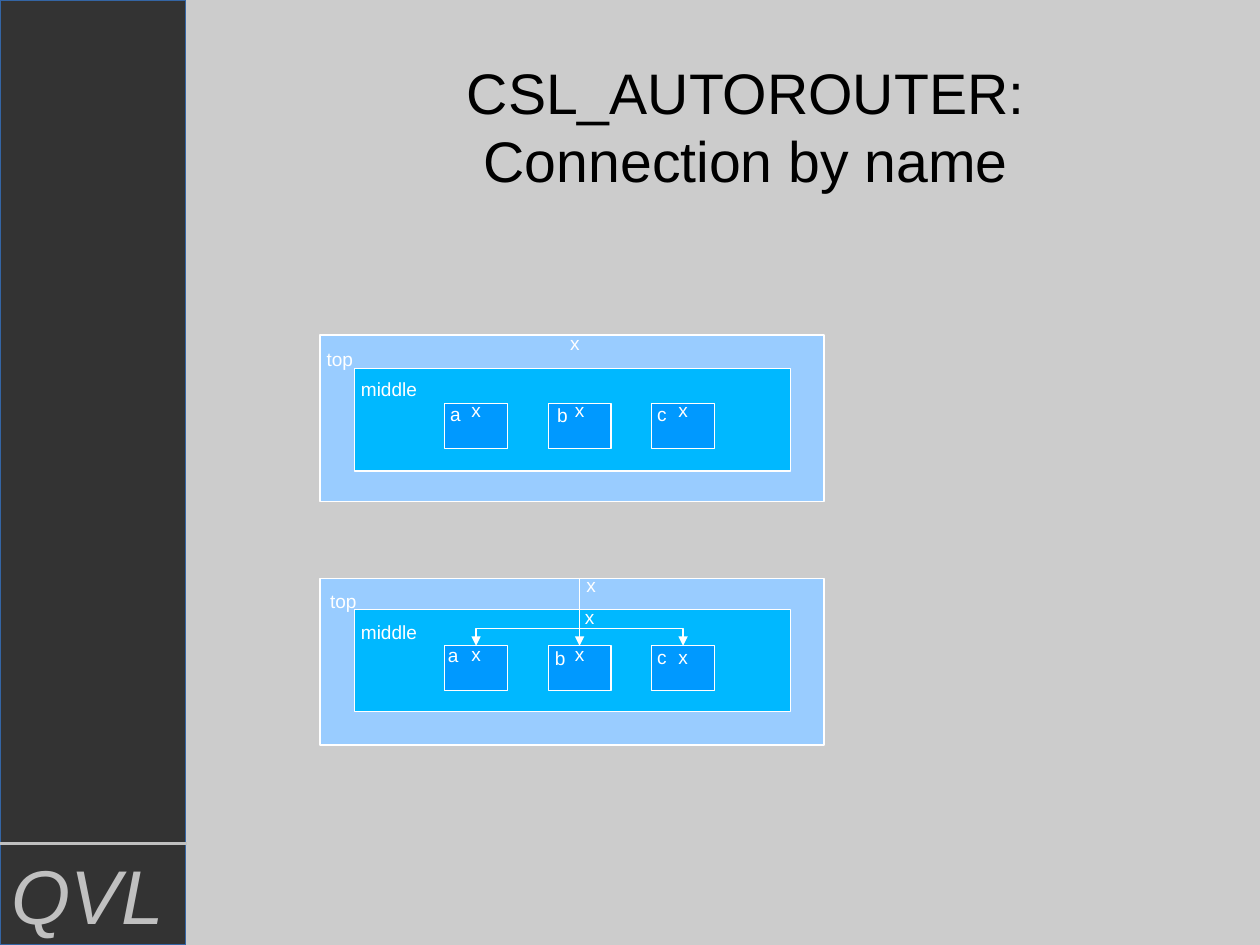
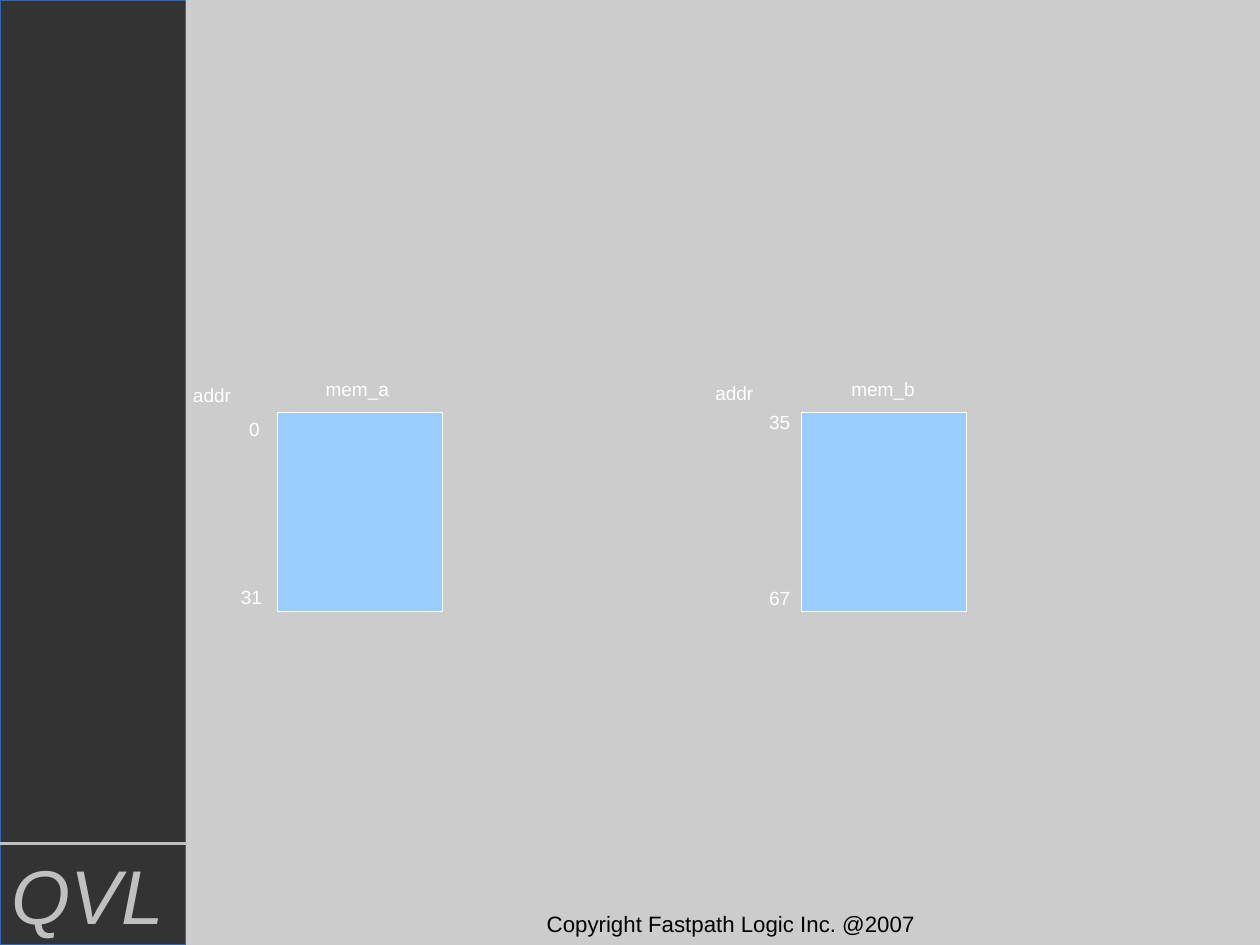
from dataclasses import dataclass

from lxml import etree
from pptx import Presentation
from pptx.dml.color import RGBColor
from pptx.enum.shapes import MSO_CONNECTOR, MSO_SHAPE
from pptx.enum.text import MSO_ANCHOR, MSO_AUTO_SIZE, PP_ALIGN
from pptx.oxml.ns import qn
from pptx.shapes.autoshape import Shape
from pptx.shapes.connector import Connector
from pptx.slide import Slide
from pptx.text.text import TextFrame
from pptx.util import Pt

RECTANGLE = MSO_SHAPE.RECTANGLE
STRAIGHT, ELBOW = MSO_CONNECTOR.STRAIGHT, MSO_CONNECTOR.ELBOW
LEFT, CENTER = PP_ALIGN.LEFT, PP_ALIGN.CENTER
MIDDLE, NO_AUTOFIT = MSO_ANCHOR.MIDDLE, MSO_AUTO_SIZE.NONE
TITLE_ONLY, BLANK = 5, 6
TOP_SIDE = 0


@dataclass(frozen=True)
class Theme:
    font: str = "Arial"
    background: RGBColor = RGBColor(0xCC, 0xCC, 0xCC)
    sidebar: RGBColor = RGBColor(0x33, 0x33, 0x33)
    sidebar_edge: RGBColor = RGBColor(0x34, 0x65, 0xA4)
    silver: RGBColor = RGBColor(0xC0, 0xC0, 0xC0)
    black: RGBColor = RGBColor(0, 0, 0)
    white: RGBColor = RGBColor(0xFF, 0xFF, 0xFF)
    outer: RGBColor = RGBColor(0x99, 0xCC, 0xFF)
    inner: RGBColor = RGBColor(0x00, 0xB8, 0xFF)
    block: RGBColor = RGBColor(0x00, 0x99, 0xFF)
    title_size: float = 36
    initials_size: float = 48
    copyright_size: float = 14
    label_size: float = 12
    hairline: float = 0
    wire: float = 0.71


THEME = Theme()
SLIDE_WIDTH, SLIDE_HEIGHT = 793.7, 595.3
SIDEBAR_WIDTH = 116.8

# Measures of the unit diagrams
OUTER_LEFT, OUTER_WIDTH, OUTER_HEIGHT = 201.6, 317.5, 105.1
INNER_LEFT, INNER_WIDTH, INNER_HEIGHT = 223.2, 275, 64.4
BLOCK_LEFT, BLOCK_PITCH, BLOCK_WIDTH, BLOCK_HEIGHT = 280.1, 65.2, 39.6, 28.1
LETTER_WIDTH, LABEL_HEIGHT = 20.2, 20.9
BRANCH_TOP = 396

# Measures of the memories
MEMORY_TOP, MEMORY_HEIGHT = 260, 125.3


@dataclass(frozen=True)
class Label:
    text: str
    left: float
    top: float
    width: float = LETTER_WIDTH


@dataclass(frozen=True)
class Block:
    """A unit inside the middle level; offsets run from its top left corner."""
    name: str
    name_dx: float
    name_dy: float
    port_dy: float


@dataclass(frozen=True)
class Diagram:
    outer_top: float
    inner_top: float
    blocks_top: float
    blocks: tuple[Block, ...]
    labels: tuple[Label, ...]
    routed: bool


@dataclass(frozen=True)
class Memory:
    left: float
    width: float
    labels: tuple[Label, ...]


DIAGRAMS = (
    Diagram(211, 232.4, 254.2,
            (Block("a", -3.6, -4.4, -6.5), Block("b", -1.4, -3.6, -6.5),
             Block("c", -3.6, -4.4, -6.5)),
            (Label("top", 198.7, 215.3, 45.4), Label("middle", 220.3, 234, 62.6),
             Label("x", 352.1, 205.2)),
            routed=False),
    Diagram(364.3, 383.9, 406.8,
            (Block("a", -5.1, -5, -5.8), Block("b", -2.9, -2.9, -5.8),
             Block("c", -3.6, -3.6, -3.6)),
            (Label("top", 200.9, 367.9, 45.4), Label("middle", 220.3, 387.4, 62.6),
             Label("x", 362.2, 357.8), Label("x", 361.4, 378)),
            routed=True),
)

MEMORIES = (
    Memory(175, 103.7,
           (Label("mem_a", 198, 234, 62.6), Label("addr", 114.5, 238.3, 62.6),
            Label("0", 149.8, 259.2, 31), Label("31", 144.7, 365, 31))),
    Memory(504.7, 104.4,
           (Label("mem_b", 529.2, 234, 62.6), Label("addr", 443.5, 236.9, 62.6),
            Label("35", 477.4, 254.9, 31), Label("67", 477.4, 365.8, 31))),
)


# Drawing helpers
def write(frame: TextFrame, text: str, size: float, color: RGBColor,
          align: PP_ALIGN = LEFT, italic: bool = False) -> None:
    frame.word_wrap = True
    frame.auto_size = NO_AUTOFIT
    paragraph = frame.paragraphs[0]
    paragraph.alignment = align
    run = paragraph.add_run()
    run.text = text
    run.font.name = THEME.font
    run.font.size = Pt(size)
    run.font.color.rgb = color
    run.font.italic = italic


def add_text(slide: Slide, label: Label, height: float = LABEL_HEIGHT,
             size: float = THEME.label_size, color: RGBColor = THEME.white,
             align: PP_ALIGN = LEFT, italic: bool = False) -> Shape:
    box = slide.shapes.add_textbox(Pt(label.left), Pt(label.top), Pt(label.width), Pt(height))
    write(box.text_frame, label.text, size, color, align, italic)
    return box


def add_box(slide: Slide, left: float, top: float, width: float, height: float,
            fill: RGBColor, edge: RGBColor = THEME.white) -> Shape:
    box = slide.shapes.add_shape(RECTANGLE, Pt(left), Pt(top), Pt(width), Pt(height))
    box.shadow.inherit = False
    box.fill.solid()
    box.fill.fore_color.rgb = fill
    box.line.color.rgb = edge
    box.line.width = Pt(THEME.hairline)
    return box


def add_line(slide: Slide, kind: MSO_CONNECTOR, start: tuple[float, float],
             end: tuple[float, float], color: RGBColor, width: float) -> Connector:
    line = slide.shapes.add_connector(kind, *(Pt(value) for value in start + end))
    line.line.color.rgb = color
    line.line.width = Pt(width)
    etree.SubElement(line.element.spPr, qn("a:effectLst"))
    return line


def add_wire(slide: Slide, kind: MSO_CONNECTOR, start: tuple[float, float],
             end: tuple[float, float]) -> Connector:
    wire = add_line(slide, kind, start, end, THEME.white, THEME.wire)
    etree.SubElement(wire.element.spPr.find(qn("a:ln")), qn("a:tailEnd"), type="triangle")
    if kind == ELBOW:  # a single bend: across, then down
        wire.element.spPr.find(qn("a:prstGeom")).set("prst", "bentConnector2")
    return wire


# Shared sidebar, drawn once and moved to the master
def move_sidebar_to_master(slide: Slide) -> None:
    sidebar = (
        add_box(slide, 0, 0, SIDEBAR_WIDTH, SLIDE_HEIGHT, THEME.sidebar, THEME.sidebar_edge),
        add_text(slide, Label("QVL", 0, 530.6, 148.3), 61.2, THEME.initials_size,
                 THEME.silver, italic=True),
        add_line(slide, STRAIGHT, (0, 531.4), (118.1, 531.4), THEME.silver, THEME.hairline),
    )
    master_tree = slide.slide_layout.slide_master.shapes.element
    for order, part in enumerate(sidebar):
        part.element.xpath(".//p:cNvPr")[0].set("id", str(100 + order))
        master_tree.insert(2 + order, part.element)


# Slide content
def draw_diagram(slide: Slide, diagram: Diagram) -> None:
    add_box(slide, OUTER_LEFT, diagram.outer_top, OUTER_WIDTH, OUTER_HEIGHT, THEME.outer)
    add_box(slide, INNER_LEFT, diagram.inner_top, INNER_WIDTH, INNER_HEIGHT, THEME.inner)
    units: list[Shape] = []
    centers: list[float] = []
    top = diagram.blocks_top
    for column, block in enumerate(diagram.blocks):
        left = BLOCK_LEFT + column * BLOCK_PITCH
        center = left + BLOCK_WIDTH / 2
        units.append(add_box(slide, left, top, BLOCK_WIDTH, BLOCK_HEIGHT, THEME.block))
        centers.append(center)
        add_text(slide, Label("x", center - LETTER_WIDTH / 2, top + block.port_dy))
        add_text(slide, Label(block.name, left + block.name_dx, top + block.name_dy))
    for label in diagram.labels:
        add_text(slide, label)
    if diagram.routed:
        first, trunk, last = centers
        stem = add_wire(slide, STRAIGHT, (trunk, diagram.outer_top), (trunk, top))
        stem.end_connect(units[1], TOP_SIDE)
        for center in (last, first):
            add_wire(slide, ELBOW, (trunk, BRANCH_TOP), (center, top))


def draw_connection_slide(slide: Slide) -> None:
    title = slide.shapes.title
    title.left, title.top, title.width, title.height = Pt(205.2), Pt(27.4), Pt(529.2), Pt(103.7)
    frame = title.text_frame
    frame.margin_left = frame.margin_top = frame.margin_right = frame.margin_bottom = Pt(0)
    frame.vertical_anchor = MIDDLE
    write(frame, "CSL_AUTOROUTER: Connection by name", THEME.title_size, THEME.black, CENTER)
    for diagram in DIAGRAMS:
        draw_diagram(slide, diagram)


def draw_memory_slide(slide: Slide) -> None:
    for memory in MEMORIES:
        add_box(slide, memory.left, MEMORY_TOP, memory.width, MEMORY_HEIGHT, THEME.outer)
        for label in memory.labels:
            add_text(slide, label)
    add_text(slide, Label("Copyright Fastpath Logic Inc. @2007", 274.3, 570.2, 372.2), 24.5,
             THEME.copyright_size, THEME.black, CENTER)


def main() -> None:
    deck = Presentation()
    deck.slide_width, deck.slide_height = Pt(SLIDE_WIDTH), Pt(SLIDE_HEIGHT)
    backdrop = deck.slide_master.background.fill
    backdrop.solid()
    backdrop.fore_color.rgb = THEME.background

    connection = deck.slides.add_slide(deck.slide_layouts[TITLE_ONLY])
    move_sidebar_to_master(connection)
    draw_connection_slide(connection)
    draw_memory_slide(deck.slides.add_slide(deck.slide_layouts[BLANK]))
    deck.save("out.pptx")


if __name__ == "__main__":
    main()
